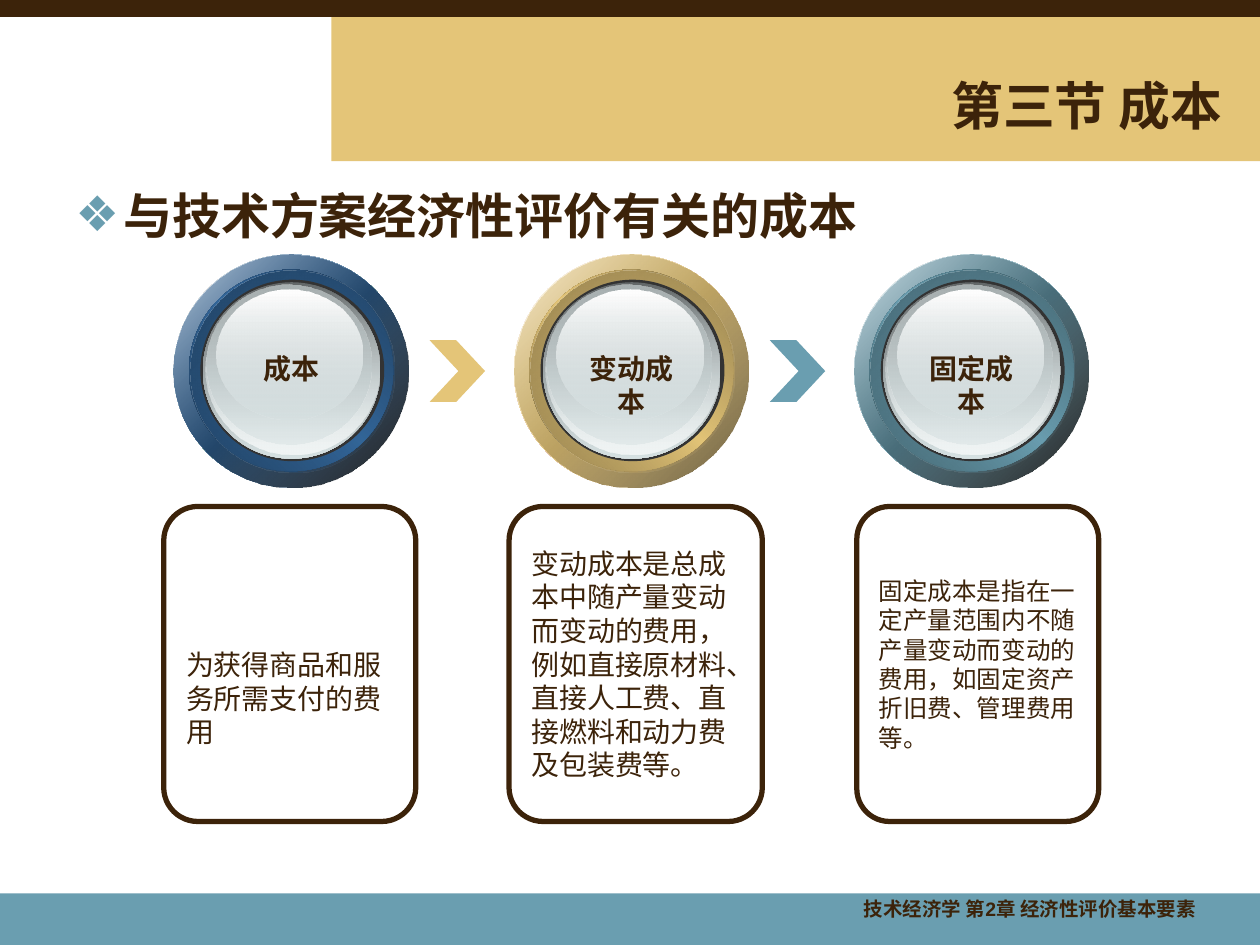
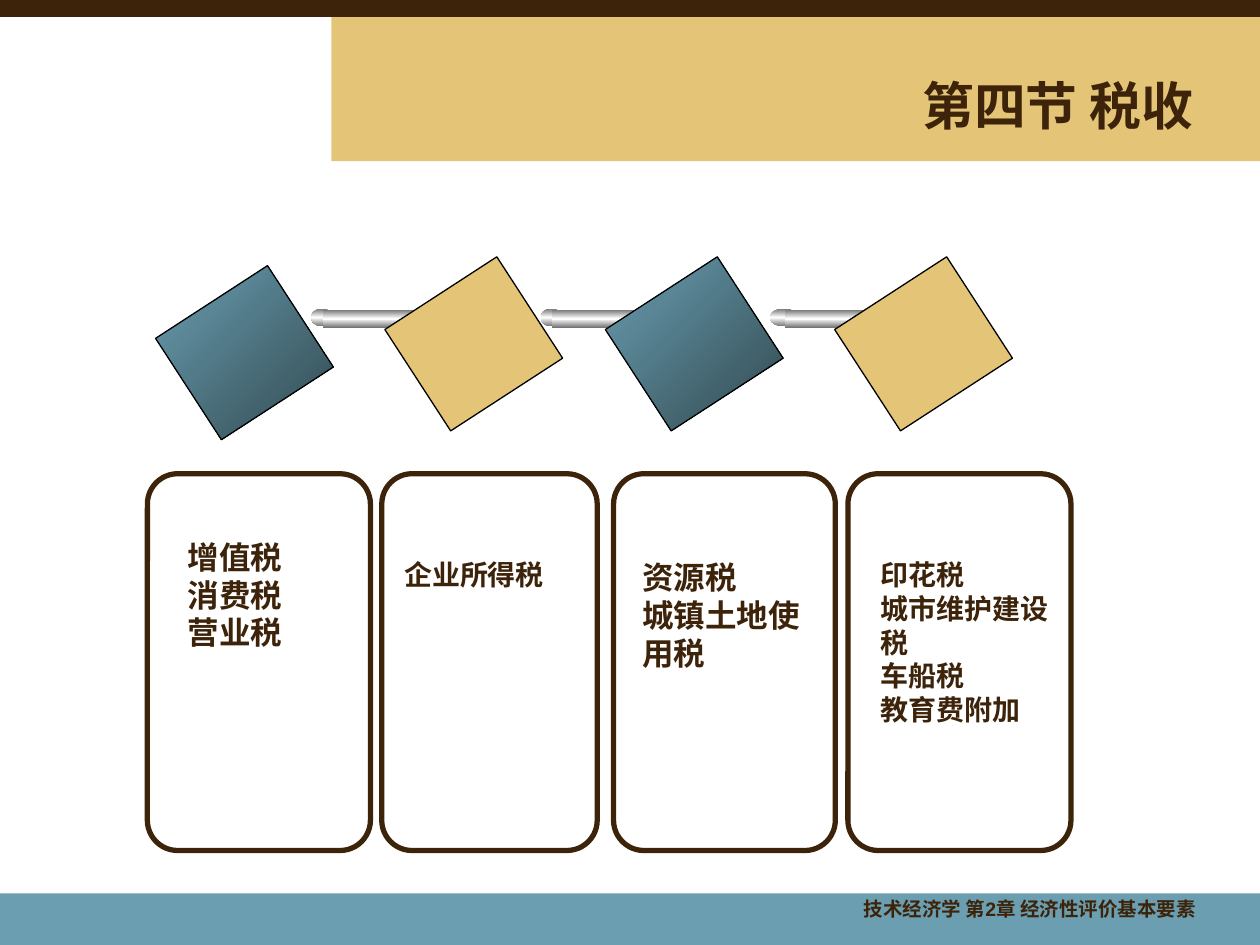
from pptx import Presentation
from pptx.dml.color import RGBColor as RGB
from pptx.enum.shapes import MSO_SHAPE as Kind
from pptx.enum.text import MSO_ANCHOR as Anchor, PP_ALIGN as Align
from pptx.oxml import parse_xml
from pptx.oxml.ns import nsdecls
from pptx.util import Inches, Pt


class Theme:
    ink = "3C230A"
    gold = "E4C578"
    teal = "6A9EB0"
    blue = "336699"
    black = "000000"
    rim = "333333"
    pale = "D6E1E2"
    white = "FFFFFF"
    steel = "767676"
    font = "Arial"
    alt = "DejaVu Sans"
    title = 29.6
    head = 28
    big = 18
    mid = 16
    small = 14
    foot = 11.1


FOOTER = "技术经济学 第2章 经济性评价基本要素"
COST = {
    "title": "第三节 成本",
    "edge": 9.8,
    "head": "与技术方案经济性评价有关的成本",
    "rings": [
        ("成本", Theme.blue, ("000000", 90), "1C3753", "204161"),
        ("变动成本", Theme.gold, ("6A5B38", 100), "7B6B41", "917D4C"),
        ("固定成本", Theme.teal, ("000000", 90), "39565F", "436470"),
    ],
    "arrows": [Theme.gold, Theme.teal],
    "cards": [
        (1.3, 2, 0.27, "为获得商品和服务所需支付的费用", Theme.mid, Theme.alt, 0.59),
        (4.04, 2.01, 0.27, "变动成本是总成本中随产量变动而变动的费用，例如直接原材料、"
         "直接人工费、直接燃料和动力费及包装费等。", Theme.mid, Theme.font, 0.05),
        (6.8, 1.92, 0.26, "固定成本是指在一定产量范围内不随产量变动而变动的费用，"
         "如固定资产折旧费、管理费用等。", Theme.small, Theme.alt, 0.05),
    ],
}
TAX = {
    "title": "第四节 税收",
    "edge": 9.57,
    "tiles": [(1.46, 2.27), (3.28, 2.2), (5.03, 2.2), (6.85, 2.2)],
    "rods": [(2.47, 1), (4.29, 1), (6.11, 1.3)],
    "cards": [(1.17, 1.77), (3.03, 1.71), (4.87, 1.76), (6.73, 1.77)],
    "lists": [
        (1.39, 4.22, 0.95, Theme.big, ["增值税", "消费税", "营业税"]),
        (3.11, 4.38, 1.65, Theme.mid, ["企业所得税"]),
        (5, 4.38, 1.57, Theme.big, ["资源税", "城镇土地使用税"]),
        (6.89, 4.38, 1.65, Theme.mid,
         ["印花税", "城市维护建设税", "车船税", "教育费附加"]),
    ],
}
ROD = [
    (Kind.OVAL, 0, 2.45, 0.17, 0.14, None),
    (Kind.RECTANGLE, 0.09, 2.46, 0.82, 0.14, None),
    (Kind.OVAL, 0.84, 2.46, 0.15, 0.13, Theme.white),
    (Kind.OVAL, 0.92, 2.5, 0.04, 0.04, None),
]
DOME = [
    (0.23, 0.22, 1.41, 1.4, [("636869", 100), (Theme.pale, 100)]),
    (0.25, 0.23, 1.38, 1.36, [(Theme.pale, 0), ("F1F5F5", 100)]),
    (0.26, 0.24, 1.31, 1.27, [("AAB2B3", 100), (Theme.pale, 48)]),
    (0.34, 0.28, 1.16, 1.03, [(Theme.white, 100), (Theme.pale, 38)]),
]


def color(hue):
    return RGB.from_string(hue)


def blend(shape, stops, angle):
    step = 100000 // (len(stops) - 1)
    marks = "".join(
        f'<a:gs pos="{i * step}"><a:srgbClr val="{hue}">'
        f'<a:alpha val="{alpha * 1000}"/></a:srgbClr></a:gs>'
        for i, (hue, alpha) in enumerate(stops))
    fill = parse_xml(
        f'<a:gradFill {nsdecls("a")} rotWithShape="1"><a:gsLst>{marks}</a:gsLst>'
        f'<a:lin ang="{angle * 60000}" scaled="0"/></a:gradFill>')
    shape._element.spPr.insert(2, fill)


def draw(slide, kind, x, y, w, h, fill=None, angle=0, line=None, wide=0.75):
    shape = slide.shapes.add_shape(kind, Inches(x), Inches(y), Inches(w), Inches(h))
    shape.shadow.inherit = False
    if line:
        shape.line.color.rgb = color(line)
        shape.line.width = Pt(wide)
    else:
        shape.line.fill.background()
    if isinstance(fill, list):
        blend(shape, fill, angle)
    elif fill:
        shape.fill.solid()
        shape.fill.fore_color.rgb = color(fill)
    else:
        shape.fill.background()
    return shape


def write(shape, lines, size, bold=True, font=Theme.font, align=Align.LEFT,
          anchor=Anchor.TOP, wrap=True, space=1, top=0.05):
    frame = shape.text_frame
    frame.word_wrap = wrap
    frame.vertical_anchor = anchor
    frame.margin_top = Inches(top)
    frame.text = "\n".join(lines)
    for para in frame.paragraphs:
        para.alignment = align
        para.line_spacing = space
        para.font.size = Pt(size)
        para.font.bold = bold
        para.font.name = font
        para.font.color.rgb = color(Theme.ink)


def label(slide, x, y, w, h, lines, size, **style):
    box = slide.shapes.add_textbox(Inches(x), Inches(y), Inches(w), Inches(h))
    write(box, lines, size, **style)
    return box


def card(slide, x, y, w, h, curve):
    shape = draw(slide, Kind.ROUNDED_RECTANGLE, x, y, w, h, line=Theme.ink, wide=3)
    shape.adjustments[0] = curve / w
    return shape


def start(deck, page):
    slide = deck.slides.add_slide(deck.slide_layouts[6])
    draw(slide, Kind.RECTANGLE, 2.63, 0.13, 7.37, 1.15, Theme.gold)
    draw(slide, Kind.RECTANGLE, 0, 7.09, 10, 0.41, Theme.teal)
    draw(slide, Kind.RECTANGLE, 0, 0, 10, 0.13, Theme.ink, line=Theme.ink)
    label(slide, 6.32, 7.09, 3.27, 0.33, [FOOTER], Theme.foot,
          align=Align.RIGHT, space=0.9)
    label(slide, 2.64, 0.55, page["edge"] - 2.64, 0.62, [page["title"]],
          Theme.title, align=Align.RIGHT, anchor=Anchor.MIDDLE, space=0.9)
    return slide


def bullet(box, mark):
    props = box.text_frame.paragraphs[0]._p.get_or_add_pPr()
    props.set("marL", str(Inches(0.38)))
    props.set("indent", str(-Inches(0.38)))
    for tag in (f'<a:buClr {nsdecls("a")}><a:srgbClr val="{Theme.teal}"/></a:buClr>',
                f'<a:buFont {nsdecls("a")} typeface="{Theme.alt}"/>',
                f'<a:buChar {nsdecls("a")} char="{mark}"/>'):
        item = parse_xml(tag)
        props.insert_element_before(item, "a:tabLst", "a:defRPr", "a:extLst")


def ring(slide, x, y, name, base, edge, deep, mid):
    layers = [
        (0, 0, 1.86, 1.85, [(Theme.white, 100), (base, 100), (Theme.white, 100)], 45),
        (0, 0, 1.86, 1.85, [(base, 32), edge], 45),
        (0.12, 0.12, 1.62, 1.6, [(deep, 100), (base, 100), (deep, 100)], 315),
        (0.13, 0.13, 1.62, 1.6, [(mid, 100), (base, 0)], 45),
        (0.21, 0.2, 1.46, 1.44, Theme.rim, 0),
    ] + [(*part, 90) for part in DOME]
    for dx, dy, w, h, fill, angle in layers:
        draw(slide, Kind.OVAL, x + dx, y + dy, w, h, fill, angle)
    label(slide, x + 0.39, y + 0.72, 1.08, 0.37, [name], Theme.mid,
          align=Align.CENTER, wrap=False)


def cost(deck):
    slide = start(deck, COST)
    box = label(slide, 0.5, 1.42, 9.08, 0.6, [COST["head"]], Theme.head, font=Theme.alt)
    bullet(box, "❖")
    for x, w, curve, text, size, font, top in COST["cards"]:
        shape = card(slide, x, 4.02, w, 2.5, curve)
        write(shape, [text], size, bold=False, font=font, anchor=Anchor.MIDDLE, top=top)
    pitch = 2.7
    for i, hue in enumerate(COST["arrows"]):
        arrow = draw(slide, Kind.CHEVRON, 3.41 + i * pitch, 2.7, 0.44, 0.49, hue)
        arrow.adjustments[0] = 0.52
    for i, item in enumerate(COST["rings"]):
        ring(slide, 1.38 + i * pitch, 2.02, *item)


def tax(deck):
    slide = start(deck, TAX)
    for x, w in TAX["cards"]:
        card(slide, x, 3.76, w, 2.99, 0.24)
    shade = [(Theme.teal, 100), ("314951", 100)]
    metal = [(Theme.steel, 100), (Theme.white, 100), (Theme.steel, 100)]
    for i, (x, y) in enumerate(TAX["tiles"]):
        tile = draw(slide, Kind.RECTANGLE, x, y, 0.96, 1.06,
                    Theme.gold if i % 2 else shade, 348, Theme.black)
        tile.rotation = 57
        for left, scale in TAX["rods"][i:i + 1]:
            for kind, dx, top, w, h, line in ROD:
                draw(slide, kind, left + dx * scale, top, w * scale, h,
                     metal, 90, line, 1)
    for x, y, w, size, lines in TAX["lists"]:
        label(slide, x, y, w, 1.3, lines, size)


def main():
    deck = Presentation()
    deck.slide_width, deck.slide_height = Inches(10), Inches(7.5)
    cost(deck)
    tax(deck)
    deck.save("out.pptx")


if __name__ == "__main__":
    main()
